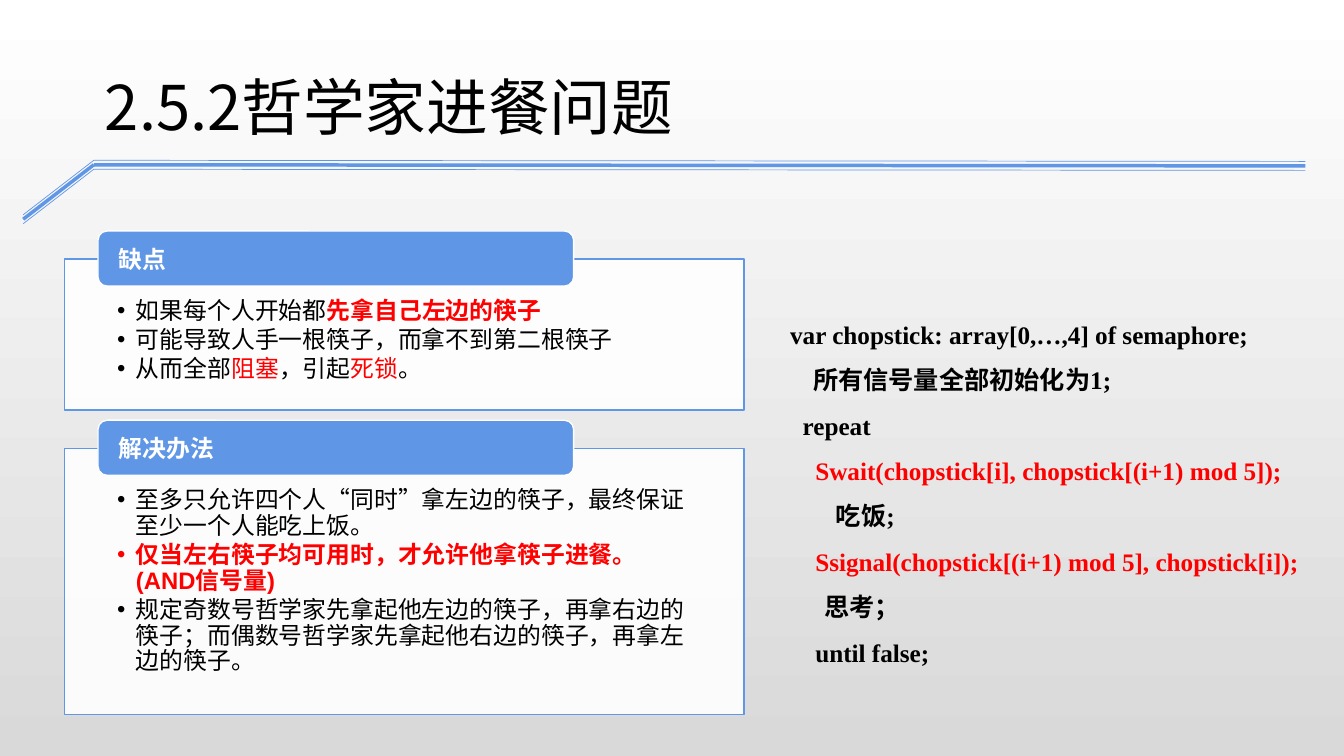
import pptx
import pptx.util
import pptx.dml.color
import pptx.enum.shapes
import pptx.enum.text
import pptx.oxml.ns
from lxml import etree

Pt = pptx.util.Pt
ANCHOR = pptx.enum.text.MSO_ANCHOR
SHAPE = pptx.enum.shapes.MSO_SHAPE
BLUE, RED, BLACK, WHITE = "6096E6", "FF0000", "000000", "FFFFFF"
CARDS = [
    (185, 108, "缺点", [
        [("如果每个人开始都", BLACK, False), ("先拿自己左边的筷子", RED, True)],
        [("可能导致人手一根筷子，而拿不到第二根筷子", BLACK, False)],
        [("从而全部", BLACK, False), ("阻塞", RED, False), ("，引起", BLACK, False),
         ("死锁", RED, False), ("。", BLACK, False)],
    ]),
    (320.2, 190, "解决办法", [
        [("至多只允许四个人“同时”拿左边的筷子，最终保证至少一个人能吃上饭。", BLACK, False)],
        [("仅当左右筷子均可用时，才允许他拿筷子进餐。(AND信号量)", RED, True)],
        [("规定奇数号哲学家先拿起他左边的筷子，再拿右边的筷子；而偶数号哲学家先拿起他右边的筷子，再拿左边的筷子。",
          BLACK, False)],
    ]),
]
CODE = [
    ("var chopstick: array[0,…,4] of semaphore;", BLACK),
    ("    所有信号量全部初始化为1;", BLACK),
    ("  repeat", BLACK),
    ("    Swait(chopstick[i], chopstick[(i+1) mod 5]);", RED),
    ("        吃饭;", BLACK),
    ("    Ssignal(chopstick[(i+1) mod 5], chopstick[i]);", RED),
    ("      思考；", BLACK),
    ("    until false;", BLACK),
]


def paint(color, tone):
    color.rgb = pptx.dml.color.RGBColor.from_string(tone)


def add_tag(parent, name, **attrs):
    return etree.SubElement(parent, pptx.oxml.ns.qn(name), **attrs)


def style(run, face, size, tone, bold=False):
    run.font.name, run.font.size, run.font.bold = face, Pt(size), bold
    paint(run.font.color, tone)
    add_tag(run.font._element, "a:ea", typeface="Noto Sans CJK JP")


def place(shape, left, top, width, height):
    shape.left, shape.top = Pt(left), Pt(top)
    shape.width, shape.height = Pt(width), Pt(height)


def set_frame(frame, anchor, left, top, right, low):
    frame.word_wrap = True
    frame.auto_size = pptx.enum.text.MSO_AUTO_SIZE.NONE
    frame.vertical_anchor = anchor
    frame.margin_left, frame.margin_top = Pt(left), Pt(top)
    frame.margin_right, frame.margin_bottom = Pt(right), Pt(low)


def set_box(shape, fill, edge):
    shape.fill.solid()
    paint(shape.fill.fore_color, fill)
    paint(shape.line.color, edge)
    shape.line.width = Pt(1)


def set_back(slide):
    fill = slide.background.fill
    fill.gradient()
    fill.gradient_angle = 270
    for stop, tone in zip(fill.gradient_stops, (WHITE, "D9D9D9")):
        paint(stop.color, tone)


def set_title(shape, text):
    place(shape, 67.7, 45.4, 685.4, 60.5)
    set_frame(shape.text_frame, ANCHOR.MIDDLE, 7.2, 3.6, 7.2, 3.6)
    shape.text_frame.text = text
    para = shape.text_frame.paragraphs[0]
    para.alignment = pptx.enum.text.PP_ALIGN.LEFT
    style(para.runs[0], "Noto Sans CJK JP", 44, BLACK)


def add_line(slide, start, end, width):
    line = slide.shapes.add_connector(
        pptx.enum.shapes.MSO_CONNECTOR.STRAIGHT, *map(Pt, start + end))
    paint(line.line.color, BLUE)
    line.line.width = Pt(width)
    add_tag(line._element.spPr, "a:effectLst")


def add_rule(slide):
    for row, width in enumerate((0.5, 2.5, 0.5)):
        drop = 3.2 * row
        left, bend, right = (16.6, 153.4 + drop), (67, 114.5 + drop), (932.4, 115.3 + drop)
        add_line(slide, left, bend, width)
        add_line(slide, bend, right, width)


def fill_list(shape, top, height, items):
    place(shape, 46, top, 485.4, height)
    set_box(shape, WHITE, BLUE)
    tone = shape.fill._xPr.find(".//" + pptx.oxml.ns.qn("a:srgbClr"))
    add_tag(tone, "a:alpha", val="90000")
    frame = shape.text_frame
    set_frame(frame, ANCHOR.TOP, 37.6, 28.3, 37.6, 9.4)
    for row, item in enumerate(items):
        para = frame.add_paragraph() if row else frame.paragraphs[0]
        para.space_before, para.space_after = Pt(0), Pt(2.55)
        para.line_spacing = 0.9
        props = para._p.get_or_add_pPr()
        props.set("marL", str(Pt(13.5)))
        props.set("indent", str(Pt(-13.5)))
        add_tag(props, "a:buFont", typeface="Arial")
        add_tag(props, "a:buChar", char="•")
        for text, color, bold in item:
            run = para.add_run()
            run.text = text
            style(run, "Arial", 17, color, bold)


def add_head(slide, top, text):
    head = slide.shapes.add_shape(
        SHAPE.ROUNDED_RECTANGLE, Pt(70), Pt(top), Pt(339.8), Pt(39.4))
    head.shadow.inherit = False
    set_box(head, BLUE, WHITE)
    set_frame(head.text_frame, ANCHOR.MIDDLE, 12.8, 0, 12.8, 0)
    head.text_frame.text = text
    para = head.text_frame.paragraphs[0]
    para.alignment = pptx.enum.text.PP_ALIGN.LEFT
    style(para.runs[0], "Arial", 17, WHITE, True)


def add_code(slide):
    box = slide.shapes.add_textbox(Pt(557.3), Pt(213.8), Pt(387.4), Pt(268.6))
    frame = box.text_frame
    set_frame(frame, ANCHOR.TOP, 7.2, 3.6, 7.2, 3.6)
    frame.text = "\n".join(text for text, tone in CODE)
    for para, (text, tone) in zip(frame.paragraphs, CODE):
        para.line_spacing = 1.5
        props = para._p.get_or_add_pPr()
        props.set("marL", str(Pt(70.5)))
        props.set("indent", str(Pt(-70.5)))
        style(para.runs[0], "Times New Roman", 18, tone, True)


def main():
    deck = pptx.Presentation()
    deck.slide_width, deck.slide_height = Pt(960), Pt(540)
    slide = deck.slides.add_slide(deck.slide_layouts[3])
    set_back(slide)
    set_title(slide.shapes.title, "2.5.2哲学家进餐问题")
    add_rule(slide)
    for spot, (top, height, head, items) in enumerate(CARDS, 1):
        fill_list(slide.placeholders[spot], top, height, items)
        add_head(slide, top - 20, head)
    add_code(slide)
    deck.save("out.pptx")


if __name__ == "__main__":
    main()
